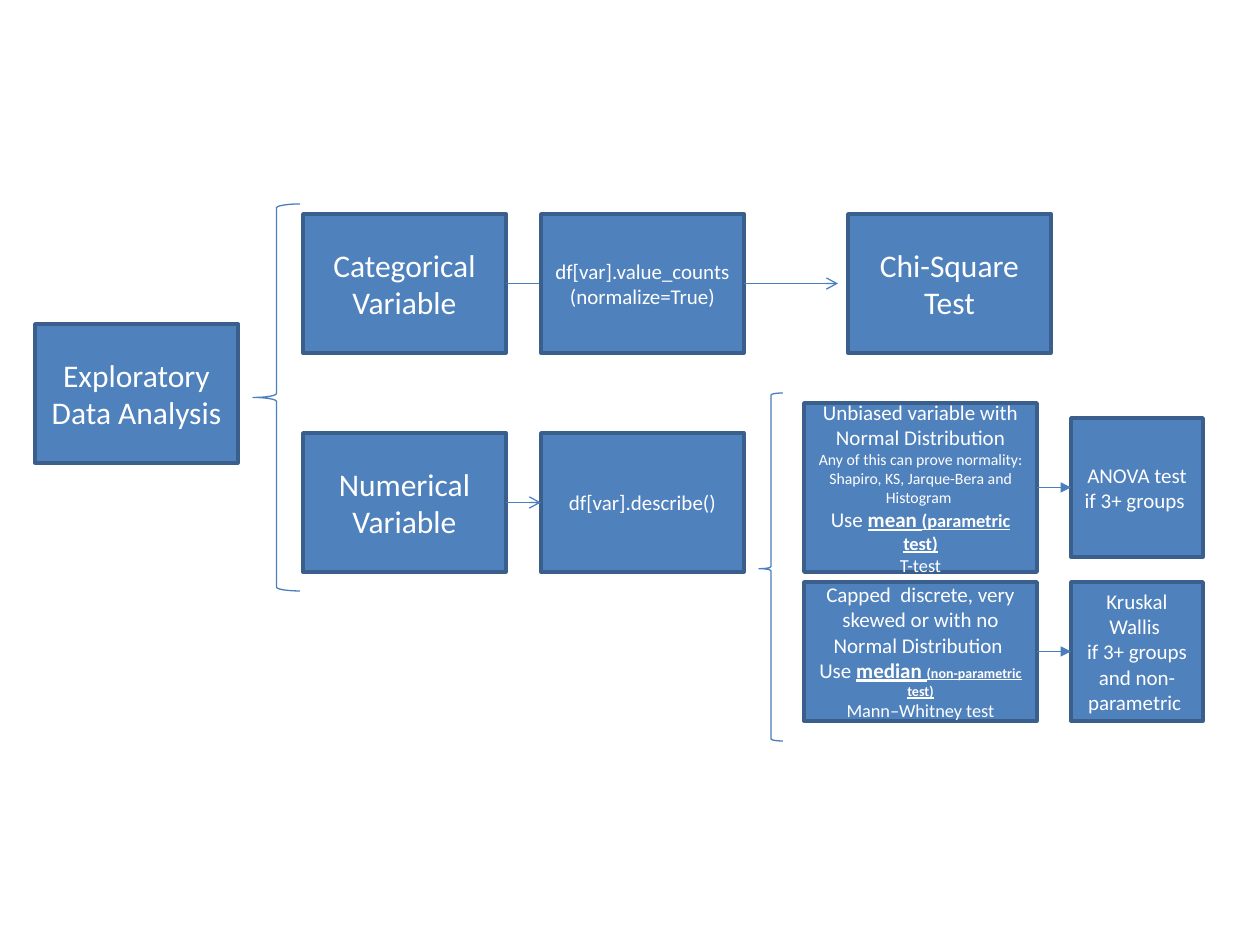
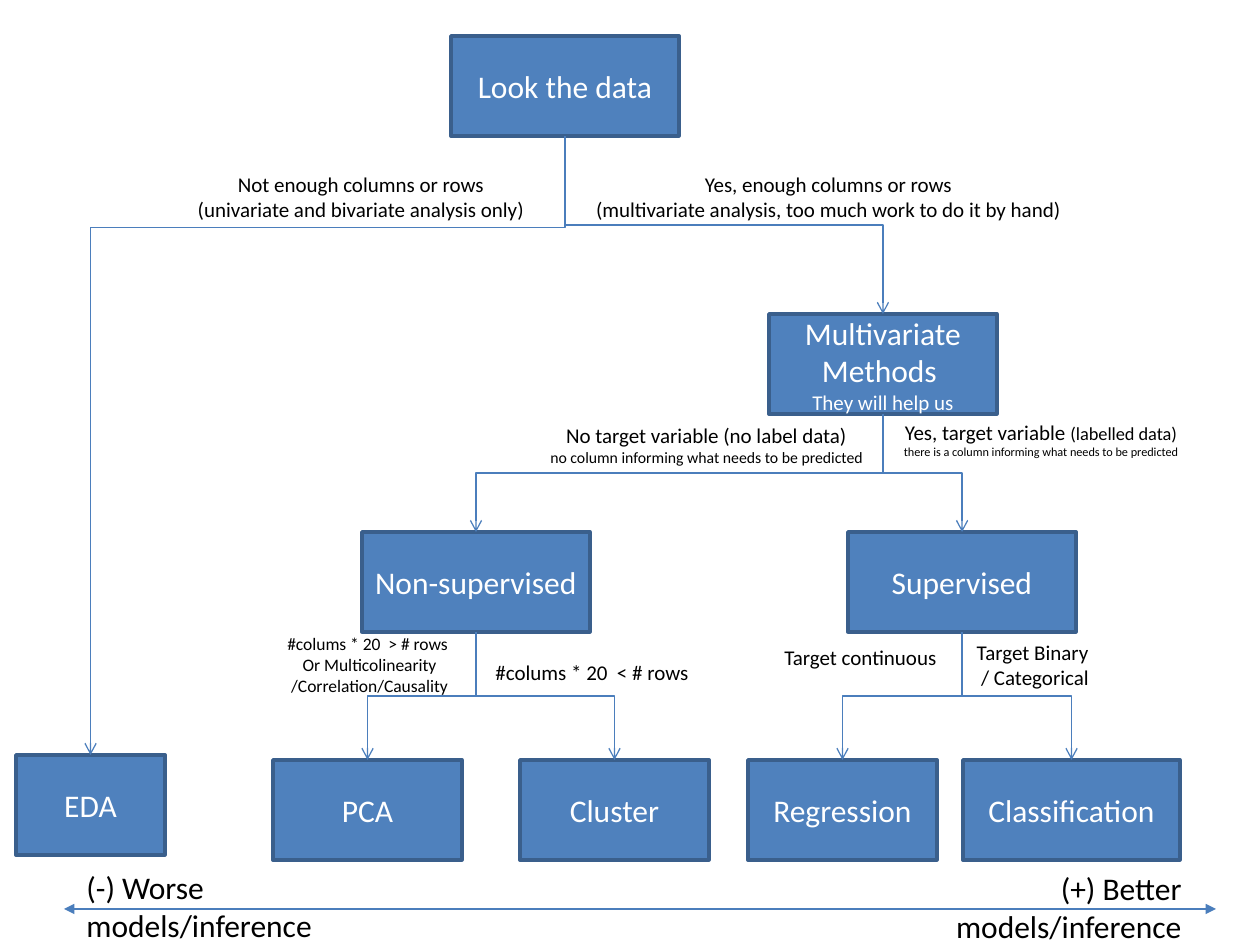
from lxml.etree import SubElement
from pptx import Presentation
from pptx.dml.color import RGBColor
from pptx.enum.shapes import MSO_CONNECTOR, MSO_SHAPE
from pptx.enum.text import MSO_ANCHOR, MSO_AUTO_SIZE, PP_ALIGN
from pptx.oxml.ns import qn
from pptx.util import Emu, Pt

COLORS = {"fill": "4F81BD", "edge": "3A5F8C", "line": "4B7EBC",
          "light": "FFFFFF", "dark": "000000"}
FONT = "Calibri"
TOP, LEFT, BOTTOM, RIGHT = range(4)


def px(n):
    return Emu(round(n * 914400 / 126))


def color(name):
    return RGBColor.from_string(COLORS[name])


def write(shape, *paras, size=18, ink="light", align=PP_ALIGN.CENTER, wrap=True):
    """Each paragraph is a string or a list of runs: string or (string, size, strong)."""
    frame = shape.text_frame
    frame.word_wrap = wrap
    for i, para in enumerate(paras):
        line = frame.add_paragraph() if i else frame.paragraphs[0]
        line.alignment = align
        for part in [para] if isinstance(para, str) else para:
            text, points, strong = (part, size, False) if isinstance(part, str) else part
            for j, piece in enumerate(text.split("\n")):
                if j:
                    line.add_line_break()
                if not piece:
                    continue
                run = line.add_run()
                run.text = piece
                font = run.font
                font.name, font.size = FONT, Pt(points)
                font.color.rgb = color(ink)
                if strong:
                    font.bold = font.underline = True


class Deck:
    def __init__(self):
        self.show = Presentation()
        self.show.slide_width, self.show.slide_height = px(1260), px(945)
        self.shapes = None

    def page(self):
        self.shapes = self.show.slides.add_slide(self.show.slide_layouts[6]).shapes

    def box(self, x, y, w, h, *paras, size=18):
        shape = self.shapes.add_shape(MSO_SHAPE.RECTANGLE, px(x), px(y), px(w), px(h))
        shape.shadow.inherit = False
        shape.fill.solid()
        shape.fill.fore_color.rgb = color("fill")
        shape.line.color.rgb = color("edge")
        shape.line.width = Pt(2)
        shape.text_frame.vertical_anchor = MSO_ANCHOR.MIDDLE
        write(shape, *paras, size=size)
        return shape

    def brace(self, x, y, w, h, tip=0.5):
        shape = self.shapes.add_shape(MSO_SHAPE.LEFT_BRACE, px(x), px(y), px(w), px(h))
        shape.shadow.inherit = False
        shape.fill.background()
        shape.adjustments[1] = tip
        shape.line.color.rgb = color("line")
        shape.line.width = Pt(0.75)

    def label(self, x, y, w, h, *paras, size=12, align=PP_ALIGN.CENTER, wrap=False):
        shape = self.shapes.add_textbox(px(x), px(y), px(w), px(h))
        write(shape, *paras, size=size, ink="dark", align=align, wrap=wrap)
        shape.text_frame.auto_size = MSO_AUTO_SIZE.SHAPE_TO_FIT_TEXT

    def link(self, kind, start, stop, head=None, tail="arrow"):
        """Draw a styled connector between two points in EMU."""
        wire = self.shapes.add_connector(kind, *start, *stop)
        wire.line.color.rgb = color("line")
        wire.line.width = Pt(0.75)
        ends = wire.line._get_or_add_ln()
        for tag, shape in (("a:headEnd", head), ("a:tailEnd", tail)):
            if shape:
                SubElement(ends, qn(tag)).set("type", shape)
        SubElement(wire._element.spPr, qn("a:effectLst"))
        return wire

    def arrow(self, a, b, tail="arrow"):
        """Run level from box a to box b, or to the x position b."""
        mid = a.top + a.height // 2
        end = px(b) if isinstance(b, int) else b.left
        wire = self.link(MSO_CONNECTOR.STRAIGHT, (a.left + a.width, mid), (end, mid), tail=tail)
        wire.begin_connect(a, RIGHT)
        if not isinstance(b, int):
            wire.end_connect(b, LEFT)

    def elbow(self, a, b, bend=0.5):
        """Go down from box a, across at the bend, then down to box b."""
        x, y = a.left + a.width // 2, a.top + a.height
        dx, dy = b.left + b.width // 2 - x, b.top - y
        wire = self.link(MSO_CONNECTOR.ELBOW, (x, y), (x + dx, b.top))
        wire.begin_connect(a, BOTTOM)
        wire.end_connect(b, TOP)
        # The preset starts sideways, so it is turned a quarter about its centre.
        wire.left, wire.top = x + (dx - dy) // 2, y + (dy - abs(dx)) // 2
        wire.width, wire.height = dy, abs(dx)
        frame = wire._element.spPr.find(qn("a:xfrm"))
        frame.set("rot", str((270 if dx > 0 else 90) * 60000))
        frame.set("flipH", str(int(dx > 0)))
        frame.set("flipV", "0")
        geom = wire._element.spPr.find(qn("a:prstGeom"))
        guides = geom.find(qn("a:avLst"))
        if guides is None:
            guides = SubElement(geom, qn("a:avLst"))
        guide = SubElement(guides, qn("a:gd"))
        guide.set("name", "adj1")
        guide.set("fmla", f"val {round(bend * 100000)}")


def explore(deck):
    deck.page()
    w, h = 203, 139
    first, second, third = 303, 541, 848
    upper, lower = 214, 433
    deck.box(35, 324, w, h, "Exploratory Data Analysis")
    deck.brace(253, 204, 47, 387)

    kind = deck.box(first, upper, w, h, "Categorical Variable")
    deck.arrow(kind, 600)
    count = deck.box(second, upper, w, h, "df[var].value_counts(normalize=True)", size=12)
    deck.box(third, upper, w, h, "Chi-Square Test")
    deck.arrow(count, 838)

    number = deck.box(first, lower, w, h, "Numerical", "Variable")
    stats = deck.box(second, lower, w, h, "df[var].describe()", size=12)
    deck.arrow(number, stats)
    deck.brace(759, 393, 24, 348, tip=0.505)

    normal = deck.box(
        804, 403, 233, 169, "Unbiased variable with Normal Distribution",
        [("Any of this can prove normality: Shapiro, KS, Jarque-Bera and Histogram ", 9, False)],
        ["Use ", ("mean ", 12, True), ("(parametric test)", 10.5, True)],
        [("T-test", 10.5, False)], size=12)
    skewed = deck.box(
        804, 582, 233, h, "Capped  discrete, very skewed or with no Normal Distribution ",
        ["Use ", ("median ", 12, True), ("(non-parametric test)", 8, True)],
        [("Mann–Whitney test", 10.5, False)], size=12)
    anova = deck.box(1071, 418, 132, h, "ANOVA test if 3+ groups ", size=12)
    ranks = deck.box(1071, 582, 132, h,
                     "Kruskal Wallis \nif 3+ groups and non-parametric ", size=12)
    deck.arrow(normal, anova, tail="triangle")
    deck.arrow(skewed, ranks, tail="triangle")


def choose(deck):
    deck.page()
    w, h = 228, 100
    look = deck.box(451, 36, w, h, "Look the data")
    eda = deck.box(16, 755, 149, h, "EDA")
    multi = deck.box(769, 314, w, h, "Multivariate Methods ",
                     [("They will help us", 12, False)])
    free = deck.box(362, 532, w, h, "Non-supervised")
    guided = deck.box(848, 532, w, h, "Supervised")
    leaves = [deck.box(x, 760, wide, h, name) for x, wide, name in (
        (273, 189, "PCA"), (520, 189, "Cluster"),
        (748, 189, "Regression"), (963, 217, "Classification"))]

    deck.elbow(look, eda, bend=0.148)
    for a, b in ((look, multi), (multi, free), (multi, guided),
                 *zip((free, free, guided, guided), leaves)):
        deck.elbow(a, b)

    deck.label(184, 165, 354, 63, "Not enough columns or rows",
               "(univariate and bivariate analysis only)")
    deck.label(581, 165, 495, 63, "Yes, enough columns or rows",
               "(multivariate analysis, too much work to do it by hand)")
    deck.label(535, 416, 343, 57, ["No target variable (no label data)\n",
               ("no column informing what needs to be predicted", 9, False)])
    deck.label(888, 413, 306, 53, ["Yes, target variable ", ("(labelled data)\n", 10.5, False),
               ("there is a column informing what needs to be predicted", 7, False)])
    deck.label(273, 627, 193, 77, "#colums * 20  > # rows ",
               "Or Multicolinearity\n/Correlation/Causality", size=10)
    deck.label(481, 653, 222, 38, "#colums * 20  < # rows")
    deck.label(771, 638, 179, 38, "Target continuous")
    deck.label(964, 633, 142, 63, "Target Binary \n/ Categorical")

    deck.link(MSO_CONNECTOR.STRAIGHT, (px(64), px(909)), (px(1216), px(909)),
              head="triangle", tail="triangle")
    deck.label(74, 862, 287, 89, "(-) Worse models/inference",
               size=18, align=PP_ALIGN.LEFT, wrap=True)
    deck.label(907, 863, 287, 89, "(+) Better models/inference",
               size=18, align=PP_ALIGN.RIGHT, wrap=True)


def main():
    deck = Deck()
    explore(deck)
    choose(deck)
    deck.show.save("out.pptx")


if __name__ == "__main__":
    main()
